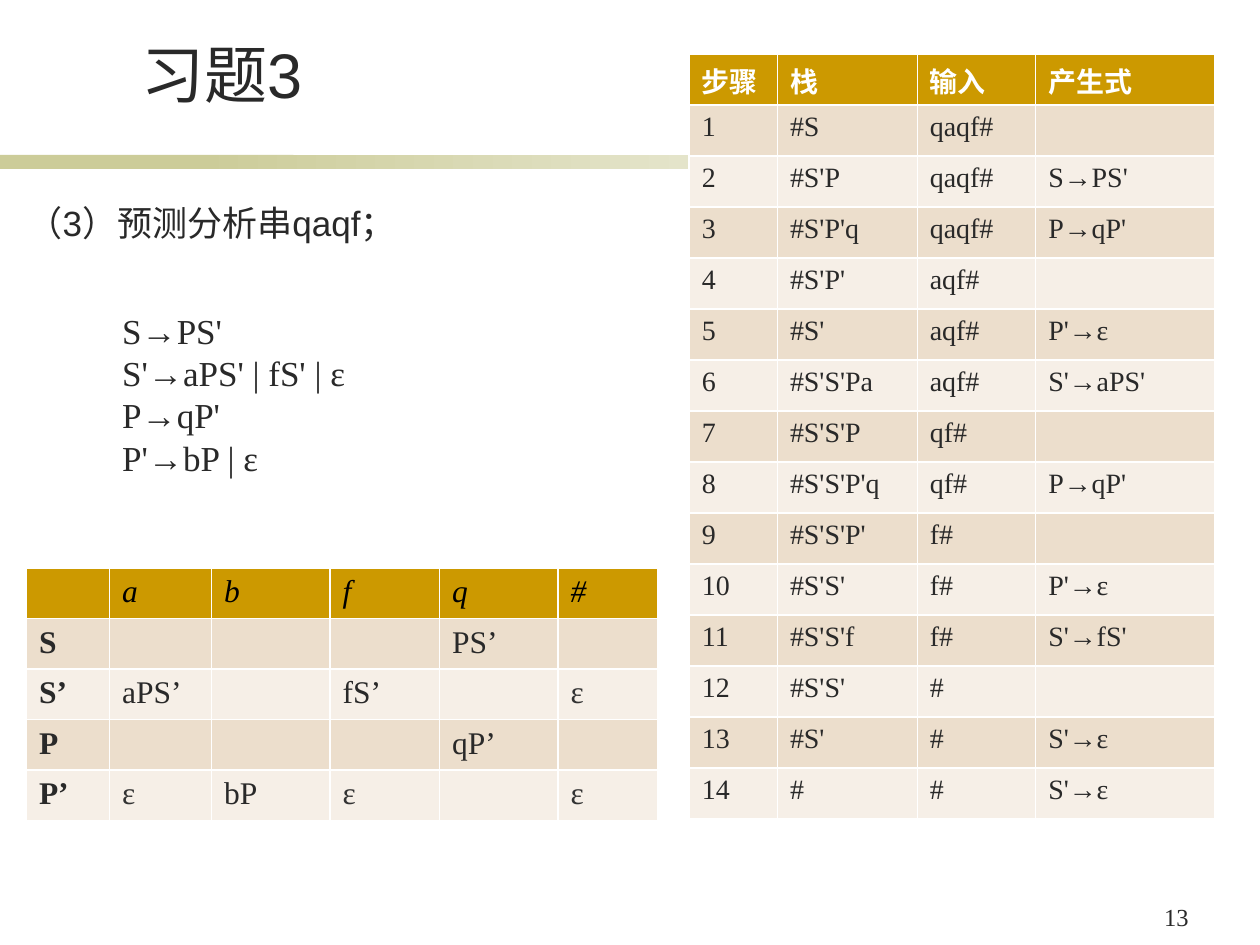
import pptx
import pptx.dml.color
import pptx.enum.shapes
import pptx.enum.text
import pptx.util
import lxml.etree

THEME = {
    "ink": "292929", "epsilon": "333333", "black": "000000", "white": "FFFFFF",
    "olive": "CCCC99", "header": "CC9900", "bands": ("ECDECC", "F6EFE7"),
    "sans": "Arial", "serif": "Times New Roman",
    "title": 36, "body": 20, "parse_table": 18, "trace": 16, "number": 14,
}
WIDTH, HEIGHT = 10, 7.5

deck = pptx.Presentation()
deck.slide_width = pptx.util.Inches(WIDTH)
deck.slide_height = pptx.util.Inches(HEIGHT)
slide = deck.slides.add_slide(deck.slide_layouts[1])
rgb = pptx.dml.color.RGBColor.from_string


def area(left, top, width, height):
    """Turn inches into the left, top, width and height of a shape."""
    return [pptx.util.Inches(length) for length in (left, top, width, height)]


def write(frame, text, size, font=THEME["serif"], color=THEME["ink"],
          bold=False, italic=False, anchor=pptx.enum.text.MSO_ANCHOR.TOP):
    """Fill a text frame with one left-aligned paragraph for each line."""
    frame.word_wrap = True
    frame.vertical_anchor = anchor
    for index, line in enumerate(text.split("\n")):
        paragraph = frame.paragraphs[0] if index == 0 else frame.add_paragraph()
        paragraph.alignment = pptx.enum.text.PP_ALIGN.LEFT
        paragraph.space_before = pptx.util.Pt(0)
        run = paragraph.add_run()
        run.text = line
        run.font.size = pptx.util.Pt(size)
        run.font.name = font
        run.font.color.rgb = rgb(color)
        run.font.bold = bold
        run.font.italic = italic


# Rule under the title: a plain start, then a fade to white
for left, width, fades in ((0, 2.33, False), (1.58, 7.92, True)):
    rule = slide.shapes.add_shape(
        pptx.enum.shapes.MSO_SHAPE.RECTANGLE, *area(left, 1.23, width, 0.11))
    rule.shadow.inherit = False
    rule.line.fill.background()
    if fades:
        rule.fill.gradient()
        rule.fill.gradient_angle = 0
        for stop, position, color in zip(rule.fill.gradient_stops, (0, 1),
                                         (THEME["olive"], THEME["white"])):
            stop.position = position
            stop.color.rgb = rgb(color)
    else:
        rule.fill.solid()
        rule.fill.fore_color.rgb = rgb(THEME["olive"])

# Title and grammar
title = slide.shapes.title
title.left, title.top, title.width, title.height = area(1.02, 0.23, 7.34, 0.7)
title.text_frame.auto_size = pptx.enum.text.MSO_AUTO_SIZE.NONE
write(title.text_frame, "习题3", THEME["title"], font=THEME["sans"],
      anchor=pptx.enum.text.MSO_ANCHOR.BOTTOM)

grammar = slide.placeholders[1]
grammar.left, grammar.top, grammar.width, grammar.height = area(0.87, 2.41, 2.07, 1.45)
grammar.text_frame.auto_size = pptx.enum.text.MSO_AUTO_SIZE.NONE
write(grammar.text_frame, "S→PS'\nS'→aPS' | fS' | ε\nP→qP'\nP'→bP | ε", THEME["body"])
for production in grammar.text_frame.paragraphs:
    properties = production._p.get_or_add_pPr()
    properties.set("marL", "0")
    properties.set("indent", "0")
    lxml.etree.SubElement(properties, pptx.oxml.ns.qn("a:buNone"))

# Question and page number
question = slide.shapes.add_textbox(*area(0.12, 1.55, 5.64, 0.44))
write(question.text_frame, "（3）预测分析串qaqf；", THEME["body"], font=THEME["sans"])
page_number = slide.shapes.add_textbox(*area(9.14, 7.11, 0.47, 0.34))
write(page_number.text_frame, "13", THEME["number"])

# Predictive parse table and the trace of the analysis
parse_rows = [
    ["", "a", "b", "f", "q", "#"],
    ["S", "", "", "", "PS’", ""],
    ["S’", "aPS’", "", "fS’", "", "ε"],
    ["P", "", "", "", "qP’", ""],
    ["P’", "ε", "bP", "ε", "", "ε"],
]
trace_steps = [
    ("#S", "qaqf#", ""),
    ("#S'P", "qaqf#", "S→PS'"),
    ("#S'P'q", "qaqf#", "P→qP'"),
    ("#S'P'", "aqf#", ""),
    ("#S'", "aqf#", "P'→ε"),
    ("#S'S'Pa", "aqf#", "S'→aPS'"),
    ("#S'S'P", "qf#", ""),
    ("#S'S'P'q", "qf#", "P→qP'"),
    ("#S'S'P'", "f#", ""),
    ("#S'S'", "f#", "P'→ε"),
    ("#S'S'f", "f#", "S'→fS'"),
    ("#S'S'", "#", ""),
    ("#S'", "#", "S'→ε"),
    ("#", "#", "S'→ε"),
]
trace_rows = [["步骤", "栈", "输入", "产生式"]]
trace_rows += [[str(step), *state] for step, state in enumerate(trace_steps, 1)]

parse_header = {"color": THEME["black"], "italic": True}
trace_header = {"color": THEME["white"], "bold": True}
for rows, left, top, columns, row_height, size, header, bold_labels in (
    (parse_rows, 0.21, 4.51, (0.66, 0.81, 0.94, 0.87, 0.94, 0.79), 0.4,
     THEME["parse_table"], parse_header, True),
    (trace_rows, 5.47, 0.43, (0.7, 1.11, 0.94, 1.42), 0.405,
     THEME["trace"], trace_header, False),
):
    table = slide.shapes.add_table(
        len(rows), len(columns),
        *area(left, top, sum(columns), row_height * len(rows))).table
    for column, width in zip(table.columns, columns):
        column.width = pptx.util.Inches(width)
    for r, row in enumerate(rows):
        for c, text in enumerate(row):
            cell = table.cell(r, c)
            cell.fill.solid()
            cell.fill.fore_color.rgb = rgb(
                THEME["bands"][(r - 1) % 2] if r else THEME["header"])
            if not text:
                continue
            if r == 0:
                look = header
            elif text == "ε":
                look = {"color": THEME["epsilon"]}
            else:
                look = {"bold": bold_labels and c == 0}
            write(cell.text_frame, text, size, **look)

deck.save("out.pptx")
